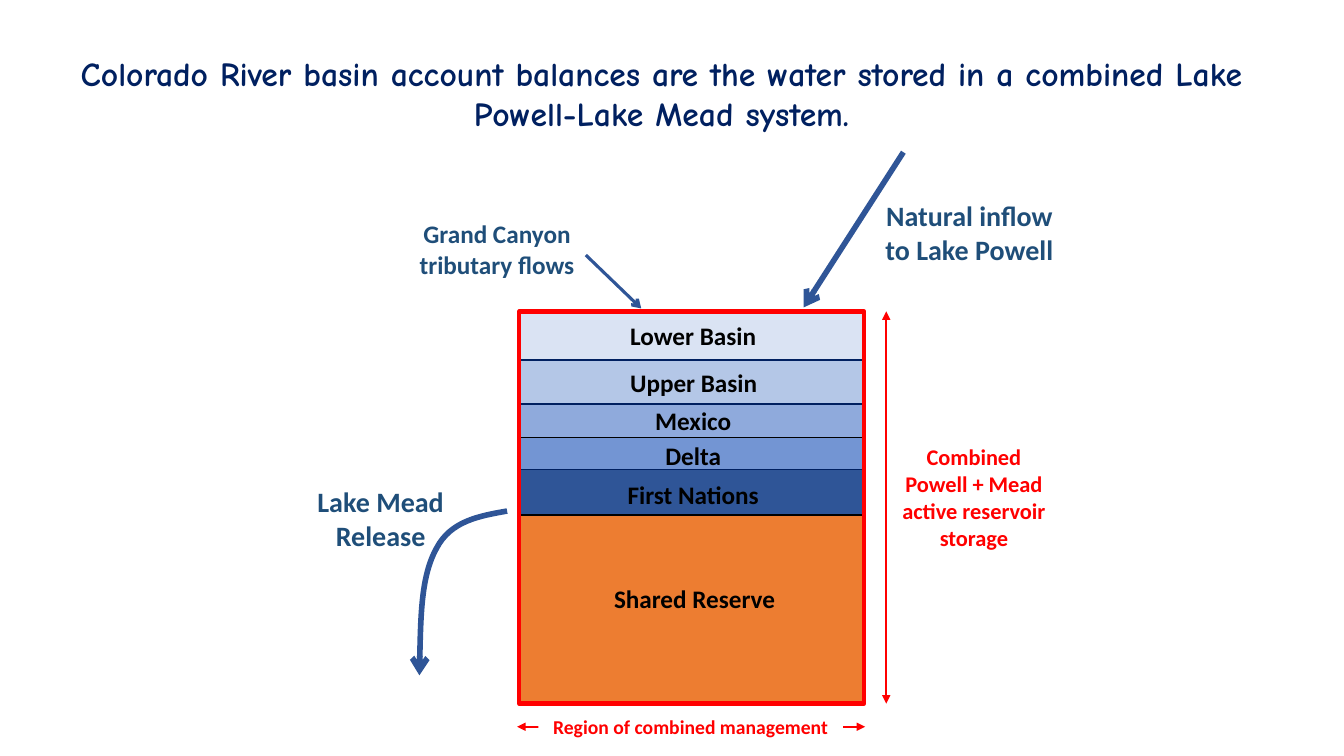
from dataclasses import dataclass
from lxml import etree
from pptx import Presentation
from pptx.dml.color import RGBColor
from pptx.enum.shapes import MSO_CONNECTOR as Connector, MSO_SHAPE as Shape
from pptx.enum.text import MSO_ANCHOR as Anchor, PP_ALIGN as Align
from pptx.oxml.ns import qn
from pptx.util import Inches, Pt


@dataclass(frozen=True)
class Theme:
    title_font: str = "Comic Neue"
    body_font: str = "Calibri"
    navy: str = "002060"
    flow: str = "2F5597"
    flow_text: str = "1F4E79"
    red: str = "FF0000"
    black: str = "000000"
    white: str = "FFFFFF"
    title_size: int = 24
    large: int = 20
    medium: int = 18
    small: int = 16
    note: int = 14


THEME = Theme()

# Content
TITLE = ("Colorado River basin account balances are the water stored in a "
         "combined Lake Powell-Lake Mead system.")

# Accounts from top to bottom: name, band height, fill, outline, label box
ACCOUNTS = [
    ("Lower Basin", 0.48, "DAE3F3", THEME.navy, (5.8, 3.13, 2.15, 0.4)),
    ("Upper Basin", 0.44, "B4C7E7", THEME.navy, (5.79, 3.59, 2.18, 0.4)),
    ("Mexico", 0.33, "8FAADC", THEME.navy, (6.38, 3.97, 0.99, 0.4)),
    ("Delta", 0.32, "7395D3", THEME.black, (6.33, 4.32, 1.09, 0.4)),
    ("First Nations", 0.45, "2F5597", THEME.navy, (5.8, 4.71, 2.15, 0.4)),
    ("Shared Reserve", 1.87, "ED7D31", THEME.black, (5.81, 5.74, 2.16, 0.52)),
]
STORAGE_LEFT, STORAGE_TOP, STORAGE_WIDTH = 5.15, 3.09, 3.42
STORAGE_HEIGHT = sum(account[1] for account in ACCOUNTS)
STORAGE_BOTTOM = STORAGE_TOP + STORAGE_HEIGHT

# Captions: text, box, size, colour
CAPTIONS = [
    ("Grand Canyon tributary flows", (4.01, 2.12, 1.84, 0.71), THEME.medium, THEME.flow_text),
    ("Natural inflow to Lake Powell", (8.65, 1.92, 1.93, 0.77), THEME.large, THEME.flow_text),
    ("Lake Mead Release", (3.02, 4.76, 1.51, 0.77), THEME.large, THEME.flow_text),
    ("Combined Powell + Mead active reservoir storage", (8.79, 4.35, 1.74, 1.18),
     THEME.small, THEME.red),
]
REGION = ("Region of combined management", (5.34, 7.04, 3.02, 0.34))

# Inflows: start, end, line width
INFLOWS = [((8.96, 1.51), (7.97, 3.05), 4), ((5.81, 2.53), (6.36, 3.06), 2.25)]

# Extents of the combined storage: start, end
EXTENTS = [
    ((5.13, 7.21), (8.58, 7.21)),
    ((8.79, STORAGE_TOP), (8.79, STORAGE_BOTTOM)),
]

# Release curve: start, then three points for each Bezier segment
RELEASE = [(5.03, 5.07), (4.75, 5.12), (4.47, 5.17), (4.33, 5.44),
           (4.18, 5.71), (4.17, 6.2), (4.16, 6.7)]


# Helpers
def inches(values):
    return [Inches(value) for value in values]


def set_line(item, color, width, **ends):
    item.line.color.rgb = RGBColor.from_string(color)
    item.line.width = Pt(width)
    outline = item._element.spPr.find(qn("a:ln"))
    for end, kind in ends.items():
        etree.SubElement(outline, qn(f"a:{end}"), type=kind)


def write(frame, text, size, color, font=THEME.body_font):
    frame.word_wrap = True
    frame.text = text
    paragraph = frame.paragraphs[0]
    paragraph.alignment = Align.CENTER
    paragraph.font.name = font
    paragraph.font.size = Pt(size)
    paragraph.font.bold = True
    paragraph.font.color.rgb = RGBColor.from_string(color)


def add_caption(text, box, size, color):
    write(slide.shapes.add_textbox(*inches(box)).text_frame, text, size, color)


def add_rectangle(box, fill=None):
    rectangle = slide.shapes.add_shape(Shape.RECTANGLE, *inches(box))
    rectangle.shadow.inherit = False
    if fill:
        rectangle.fill.solid()
        rectangle.fill.fore_color.rgb = RGBColor.from_string(fill)
    else:
        rectangle.fill.background()
    return rectangle


def add_arrow(start, end, color, width, **ends):
    arrow = slide.shapes.add_connector(Connector.STRAIGHT, *inches(start + end))
    set_line(arrow, color, width, **ends)
    etree.SubElement(arrow._element.spPr, qn("a:effectLst"))


def add_curve(points):
    start, *rest = [inches(point) for point in points]
    builder = slide.shapes.build_freeform(*start)
    builder.add_line_segments(rest, close=False)
    curve = builder.convert_to_shape()
    segments = list(curve._element.iter(qn("a:lnTo")))
    outline = segments[0].getparent()
    for first in range(0, len(segments), 3):
        bezier = etree.SubElement(outline, qn("a:cubicBezTo"))
        for segment in segments[first:first + 3]:
            bezier.append(segment[0])
            outline.remove(segment)
    curve.shadow.inherit = False
    curve.fill.background()
    return curve


# Slide and title
deck = Presentation()
deck.slide_width, deck.slide_height = inches((13.33, 7.5))
slide = deck.slides.add_slide(deck.slide_layouts[5])
title = slide.shapes.title
title.left, title.top, title.width, title.height = inches((0.35, 0.47, 12.42, 0.91))
write(title.text_frame, TITLE, THEME.title_size, THEME.navy, THEME.title_font)
title.text_frame.vertical_anchor = Anchor.MIDDLE

# Stacked accounts inside the storage frame
top = STORAGE_TOP
for name, height, fill, outline_color, label_box in ACCOUNTS:
    band = add_rectangle((STORAGE_LEFT, top, STORAGE_WIDTH, height), fill)
    set_line(band, outline_color, 1)
    add_caption(name, label_box, THEME.medium, THEME.black)
    top += height
storage = add_rectangle((STORAGE_LEFT, STORAGE_TOP, STORAGE_WIDTH, STORAGE_HEIGHT))
set_line(storage, THEME.red, 3)

# Flows in and out
for start, end, width in INFLOWS:
    add_arrow(start, end, THEME.flow, width, tailEnd="arrow")
set_line(add_curve(RELEASE), THEME.flow, 4, tailEnd="arrow")

# Extents and captions
for start, end in EXTENTS:
    add_arrow(start, end, THEME.red, 1.5, headEnd="triangle", tailEnd="triangle")
for caption in CAPTIONS:
    add_caption(*caption)
region_text, region_box = REGION
region = add_rectangle(region_box, THEME.white)
region.line.fill.background()
write(region.text_frame, region_text, THEME.note, THEME.red)

deck.save("out.pptx")
